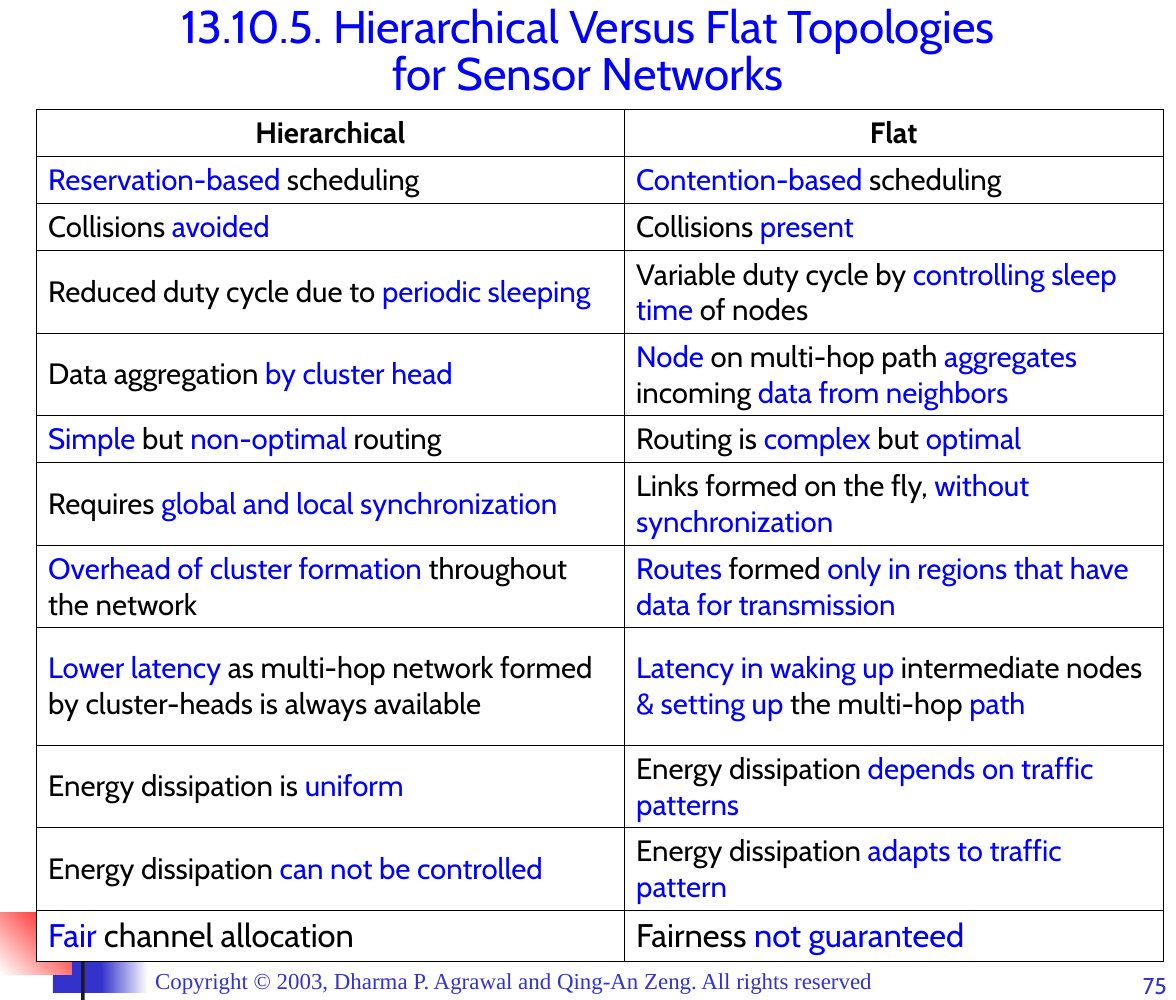
from lxml import etree
from pptx import Presentation
from pptx.dml.color import RGBColor
from pptx.enum.shapes import MSO_SHAPE
from pptx.enum.text import MSO_ANCHOR, MSO_AUTO_SIZE, PP_ALIGN
from pptx.oxml.ns import qn
from pptx.util import Inches, Pt

RECT = MSO_SHAPE.RECTANGLE
LEFT, CENTER, RIGHT = PP_ALIGN.LEFT, PP_ALIGN.CENTER, PP_ALIGN.RIGHT
MIDDLE, BOTTOM = MSO_ANCHOR.MIDDLE, MSO_ANCHOR.BOTTOM
NO_FIT, GROW = MSO_AUTO_SIZE.NONE, MSO_AUTO_SIZE.SHAPE_TO_FIT_TEXT

COLORS = {
    "text": "000000",
    "accent": "0000FF",
    "footer": "3333CC",
    "red": "FF0000",
    "bar": "1C1C1C",
    "white": "FFFFFF",
}
BODY_FONT = "Cabin"
FOOTER_FONT = "Times New Roman"

TITLE_LINES = ["13.10.5. Hierarchical Versus Flat Topologies", "for Sensor Networks"]

# Text between asterisks takes the accent colour.
COMPARISON = [
    (0.4, "Hierarchical", "Flat"),
    (0.4, "*Reservation-based* scheduling", "*Contention-based* scheduling"),
    (0.4, "Collisions *avoided*", "Collisions *present*"),
    (0.7, "Reduced duty cycle due to *periodic sleeping*",
     "Variable duty cycle by *controlling sleep time* of nodes"),
    (0.7, "Data aggregation *by cluster head*",
     "*Node* on multi-hop path *aggregates* incoming *data from neighbors*"),
    (0.4, "*Simple* but *non-optimal* routing", "Routing is *complex* but *optimal*"),
    (0.7, "Requires *global and local synchronization*",
     "Links formed on the fly, *without synchronization*"),
    (0.7, "*Overhead of cluster formation* throughout the network",
     "*Routes* formed *only in regions that have data for transmission*"),
    (1, "*Lower latency* as multi-hop network formed by cluster-heads is always available",
     "*Latency in waking up* intermediate nodes *& setting up* the multi-hop *path*"),
    (0.7, "Energy dissipation is *uniform*", "Energy dissipation *depends on traffic patterns*"),
    (0.7, "Energy dissipation *can not be controlled*",
     "Energy dissipation *adapts to traffic pattern*"),
    (0.44, "*Fair* channel allocation", "Fairness *not guaranteed*"),
]


def rgb(name):
    return RGBColor.from_string(COLORS[name])


class SlideBuilder:
    def __init__(self, slide):
        self.slide = slide

    def run(self, paragraph, text, size, color, font=BODY_FONT, bold=False):
        run = paragraph.add_run()
        run.text = text
        run.font.size = Pt(size)
        run.font.name = font
        run.font.bold = bold
        run.font.color.rgb = rgb(color)

    def title(self, lines, box):
        title = self.slide.shapes.title
        title.left, title.top, title.width, title.height = map(Inches, box)
        frame = title.text_frame
        frame.auto_size = NO_FIT
        frame.vertical_anchor = BOTTOM
        paragraph = frame.paragraphs[0]
        paragraph.alignment = CENTER
        paragraph.line_spacing = 0.85
        for index, line in enumerate(lines):
            if index:
                paragraph.add_line_break()
            self.run(paragraph, line, 28, "accent")

    def block(self, box, *colors, angle=0):
        block = self.slide.shapes.add_shape(RECT, *map(Inches, box))
        block.shadow.inherit = False
        block.line.fill.background()
        if len(colors) == 1:
            block.fill.solid()
            block.fill.fore_color.rgb = rgb(colors[0])
            return
        block.fill.gradient()
        block.fill.gradient_angle = angle
        for position, (stop, color) in enumerate(zip(block.fill.gradient_stops, colors)):
            stop.color.rgb = rgb(color)
            stop.position = position

    def footer(self, text, box, font, align, margin):
        frame = self.slide.shapes.add_textbox(*map(Inches, box)).text_frame
        frame.word_wrap = True
        frame.auto_size = GROW
        frame.margin_top = frame.margin_bottom = Inches(margin)
        paragraph = frame.paragraphs[0]
        paragraph.alignment = align
        paragraph.space_before = Pt(8.8)
        self.run(paragraph, text, 14, "footer", font)

    def cell(self, cell, text, size, header):
        properties = cell._tc.get_or_add_tcPr()
        for side in ("a:lnL", "a:lnR", "a:lnT", "a:lnB"):
            border = etree.SubElement(properties, qn(side), w=str(Pt(0.45)))
            fill = etree.SubElement(border, qn("a:solidFill"))
            etree.SubElement(fill, qn("a:srgbClr"), val=COLORS["text"])
        cell.fill.solid()
        cell.fill.fore_color.rgb = rgb("white")
        cell.vertical_anchor = MIDDLE
        paragraph = cell.text_frame.paragraphs[0]
        paragraph.alignment = CENTER if header else LEFT
        paragraph.space_before = Pt(size / 4)
        for index, part in enumerate(text.split("*")):
            if part:
                self.run(paragraph, part, size, "accent" if index % 2 else "text", bold=header)

    def table(self, rows, left, top, widths):
        height = sum(row[0] for row in rows)
        table = self.slide.shapes.add_table(
            len(rows), len(widths), Inches(left), Inches(top),
            Inches(sum(widths)), Inches(height)).table
        table.first_row = table.horz_banding = False
        for column, width in zip(table.columns, widths):
            column.width = Inches(width)
        last = len(rows) - 1
        for index, (row_height, *texts) in enumerate(rows):
            table.rows[index].height = Inches(row_height)
            for column, text in enumerate(texts):
                self.cell(table.cell(index, column), text, 20 if index == last else 18, index == 0)


def main():
    deck = Presentation()
    deck.slide_width, deck.slide_height = Inches(10), Inches(8.5)
    builder = SlideBuilder(deck.slides.add_slide(deck.slide_layouts[5]))

    builder.block((0.45, 7.85, 0.46, 0.59), "footer")
    builder.block((0.86, 7.85, 0.4, 0.59), "white", "footer", angle=180)
    builder.block((0, 7.76, 0.61, 0.52), "red", "white", angle=225)
    builder.block((0.69, 7.2, 0.03, 1.3), "bar")
    builder.footer("Copyright © 2003, Dharma P. Agrawal and Qing-An Zeng. All rights reserved",
                   (1.22, 8.17, 7.58, 0.34), FOOTER_FONT, LEFT, 0.05)
    builder.footer("75", (9.22, 8.26, 0.8, 0.27), BODY_FONT, RIGHT, 0)
    builder.title(TITLE_LINES, (0, 0, 10, 0.9))
    builder.table(COMPARISON, 0.31, 0.93, (5, 4.58))

    deck.save("out.pptx")


if __name__ == "__main__":
    main()
